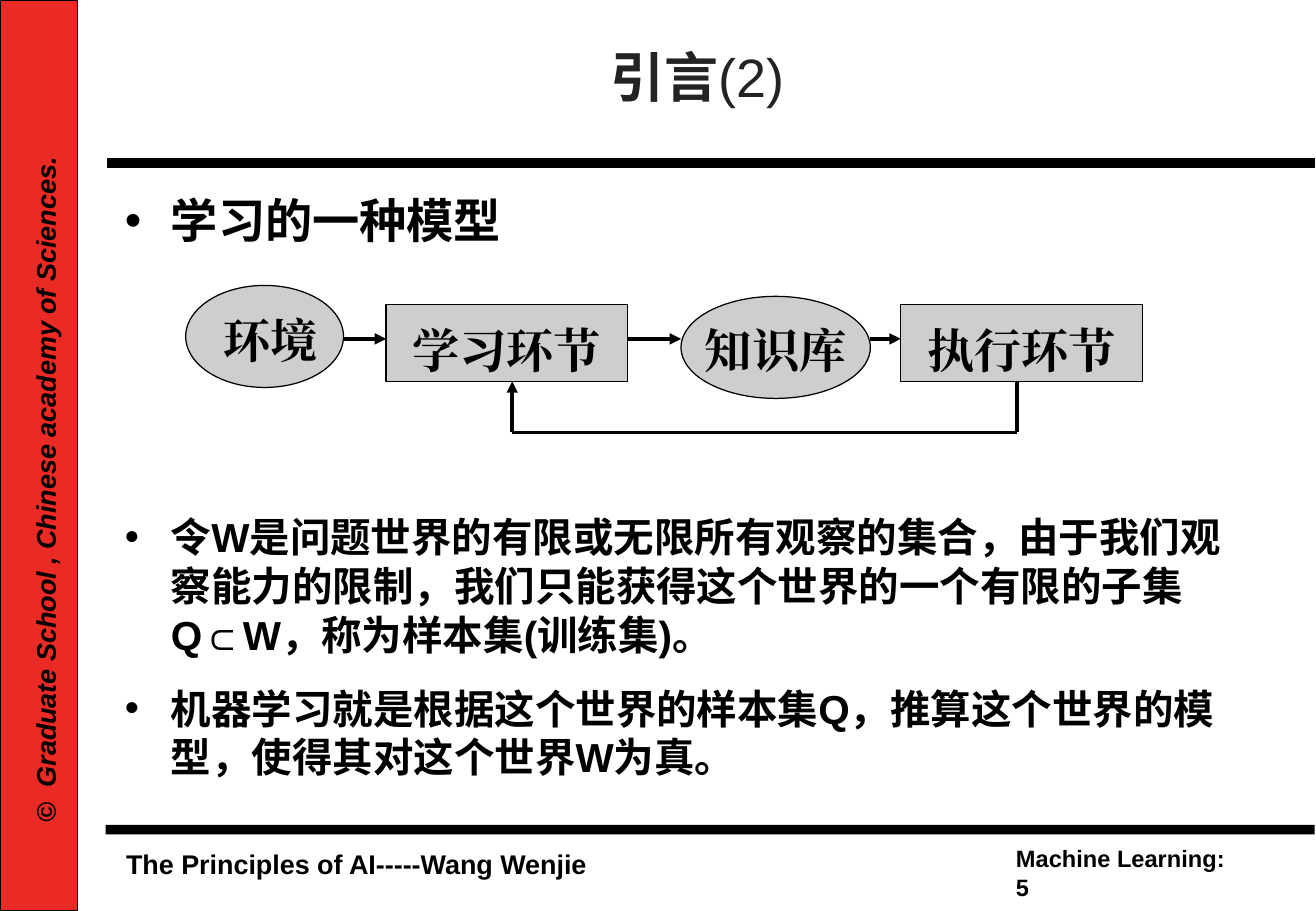
"""Builds the slide 引言 (2) with its learning-model diagram."""
from dataclasses import dataclass

from pptx import Presentation
from pptx.dml.color import RGBColor
from pptx.enum import shapes, text
from pptx.oxml.ns import qn
from pptx.util import Inches, Pt
from lxml import etree

BLACK, RED, GREY, TITLE_COLOR = "000000", "E92A25", "CECECE", "232323"
RECT, OVAL = shapes.MSO_SHAPE.RECTANGLE, shapes.MSO_SHAPE.OVAL
CENTER, LEFT = text.PP_ALIGN.CENTER, text.PP_ALIGN.LEFT
MIDDLE, TOP = text.MSO_ANCHOR.MIDDLE, text.MSO_ANCHOR.TOP


@dataclass
class Box:
    left: float
    top: float
    width: float
    height: float

    def lengths(self) -> list:
        return [Inches(v) for v in (self.left, self.top, self.width, self.height)]


@dataclass
class Node:
    label: str
    kind: int
    box: Box
    shift: float = 0
    drop: float = 0.1


@dataclass
class Line:
    start: tuple[float, float]
    end: tuple[float, float]
    arrow: bool = False
    width: float = 2.25


@dataclass
class Caption:
    content: str
    box: Box
    size: float
    italic: bool = False
    rotation: float = 0
    tab: float = 0


@dataclass
class BulletBlock:
    items: list[str]
    box: Box
    size: float
    before: float
    after: float


NODES = [
    Node("环境", OVAL, Box(1.53, 2.35, 1.3, 0.84), shift=0.1, drop=0.05),
    Node("学习环节", RECT, Box(3.18, 2.51, 1.99, 0.63)),
    Node("知识库", OVAL, Box(5.61, 2.44, 1.56, 0.84), drop=0.03),
    Node("执行环节", RECT, Box(7.42, 2.51, 1.99, 0.63)),
]
FLOW_Y, RETURN_Y, NODE_BOTTOM = 2.79, 3.56, 3.14
RETURN_FROM, RETURN_TO = 8.38, 4.22
FEEDBACK = [
    Line((RETURN_FROM, NODE_BOTTOM), (RETURN_FROM, RETURN_Y)),
    Line((RETURN_FROM, RETURN_Y), (RETURN_TO, RETURN_Y)),
    Line((RETURN_TO, RETURN_Y), (RETURN_TO, NODE_BOTTOM), arrow=True),
]
CAPTIONS = [
    Caption("The Principles of AI-----Wang Wenjie", Box(0.94, 6.93, 4.02, 0.36), 16),
    Caption("Machine Learning:\t5", Box(8.27, 6.9, 2.19, 0.33), 14, tab=1.89),
    Caption("©\tGraduate School , Chinese academy of Sciences.",
            Box(-2.96, 3.35, 6.67, 0.37), 16, italic=True, rotation=270, tab=0.29),
]
BULLETS = [
    BulletBlock(["学习的一种模型"], Box(0.93, 1.53, 9.27, 0.6), 28, 10.5, 7),
    BulletBlock([
        "令W是问题世界的有限或无限所有观察的集合，由于我们观察能力的限制，"
        "我们只能获得这个世界的一个有限的子集Q⊂W，称为样本集(训练集)。",
        "机器学习就是根据这个世界的样本集Q，推算这个世界的模型，使得其对这个世界W为真。",
    ], Box(0.93, 4.17, 9.27, 2.4), 24, 9, 6),
]


def rgb(value: str) -> RGBColor:
    return RGBColor.from_string(value)


def style_run(run, size: float, font: str = "Arial", color: str = BLACK,
              bold: bool = True, italic: bool = False) -> None:
    run.font.size, run.font.name = Pt(size), font
    run.font.bold, run.font.italic = bold, italic
    run.font.color.rgb = rgb(color)
    east_asian = etree.SubElement(run.font._element, qn("a:ea"))
    east_asian.set("typeface", font)


def add_frame(slide, box: Box, anchor=TOP, wrap: bool = True):
    area = slide.shapes.add_textbox(*box.lengths())
    area.text_frame.word_wrap = wrap
    area.text_frame.vertical_anchor = anchor
    return area


def add_block(slide, kind: int, box: Box, fill: str, line_width: float = 0):
    block = slide.shapes.add_shape(kind, *box.lengths())
    block.shadow.inherit = False
    block.fill.solid()
    block.fill.fore_color.rgb = rgb(fill)
    if line_width:
        block.line.color.rgb = rgb(BLACK)
        block.line.width = Pt(line_width)
    else:
        block.line.fill.background()
    return block


def add_line(slide, line: Line) -> None:
    ends = [Inches(v) for v in (*line.start, *line.end)]
    link = slide.shapes.add_connector(shapes.MSO_CONNECTOR.STRAIGHT, *ends)
    link.line.color.rgb = rgb(BLACK)
    link.line.width = Pt(line.width)
    if line.arrow:
        etree.SubElement(link.line._get_or_add_ln(), qn("a:tailEnd"), type="triangle")
    etree.SubElement(link._element.spPr, qn("a:effectLst"))


def add_node(slide, node: Node) -> None:
    frame = add_block(slide, node.kind, node.box, GREY, 0.75).text_frame
    frame.word_wrap = False
    frame.vertical_anchor = MIDDLE
    frame.margin_left, frame.margin_top = Inches(node.shift), Inches(node.drop)
    frame.margin_right = frame.margin_bottom = 0
    frame.text = node.label
    label = frame.paragraphs[0]
    label.alignment = CENTER
    style_run(label.runs[0], 28, "Times New Roman")


def add_caption(slide, caption: Caption) -> None:
    area = add_frame(slide, caption.box, wrap=bool(caption.rotation))
    area.rotation = caption.rotation
    area.text_frame.text = caption.content
    paragraph = area.text_frame.paragraphs[0]
    paragraph.alignment = LEFT
    if caption.tab:
        stops = etree.SubElement(paragraph._p.get_or_add_pPr(), qn("a:tabLst"))
        etree.SubElement(stops, qn("a:tab"), pos=str(Inches(caption.tab)), algn="l")
    style_run(paragraph.runs[0], caption.size, italic=caption.italic)


def add_bullets(slide, block: BulletBlock) -> None:
    frame = add_frame(slide, block.box).text_frame
    for index, item in enumerate(block.items):
        paragraph = frame.add_paragraph() if index else frame.paragraphs[0]
        paragraph.text = item
        paragraph.line_spacing = Pt(block.size * 1.2)
        paragraph.space_before = Pt(block.before if index else 0)
        paragraph.space_after = Pt(block.after)
        properties = paragraph._p.get_or_add_pPr()
        properties.set("marL", str(Inches(0.38)))
        properties.set("indent", str(-Inches(0.38)))
        etree.SubElement(properties, qn("a:buFont"), typeface="Arial")
        etree.SubElement(properties, qn("a:buChar"), char="•")
        style_run(paragraph.runs[0], block.size)


def add_title(slide) -> None:
    heading = add_frame(slide, Box(1.14, 0, 9.21, 1.25), MIDDLE).text_frame.paragraphs[0]
    heading.alignment = CENTER
    for part, bold in (("引言", True), ("(2)", False)):
        run = heading.add_run()
        run.text = part
        style_run(run, 32, color=TITLE_COLOR, bold=bold)


def main() -> None:
    deck = Presentation()
    deck.slide_width, deck.slide_height = Inches(10.84), Inches(7.5)
    slide = deck.slides.add_slide(deck.slide_layouts[6])
    add_block(slide, RECT, Box(0.87, 6.79, 9.96, 0.08), BLACK)
    add_block(slide, RECT, Box(0, 0, 0.64, 7.5), RED, 1)
    add_line(slide, Line((0.88, 1.34), (10.83, 1.34), width=6))
    for caption in CAPTIONS:
        add_caption(slide, caption)
    add_title(slide)
    for block in BULLETS:
        add_bullets(slide, block)
    for node in NODES:
        add_node(slide, node)
    flow = [Line((a.box.left + a.box.width, FLOW_Y), (b.box.left, FLOW_Y), arrow=True)
            for a, b in zip(NODES, NODES[1:])]
    for line in flow + FEEDBACK:
        add_line(slide, line)
    deck.save("out.pptx")


if __name__ == "__main__":
    main()
